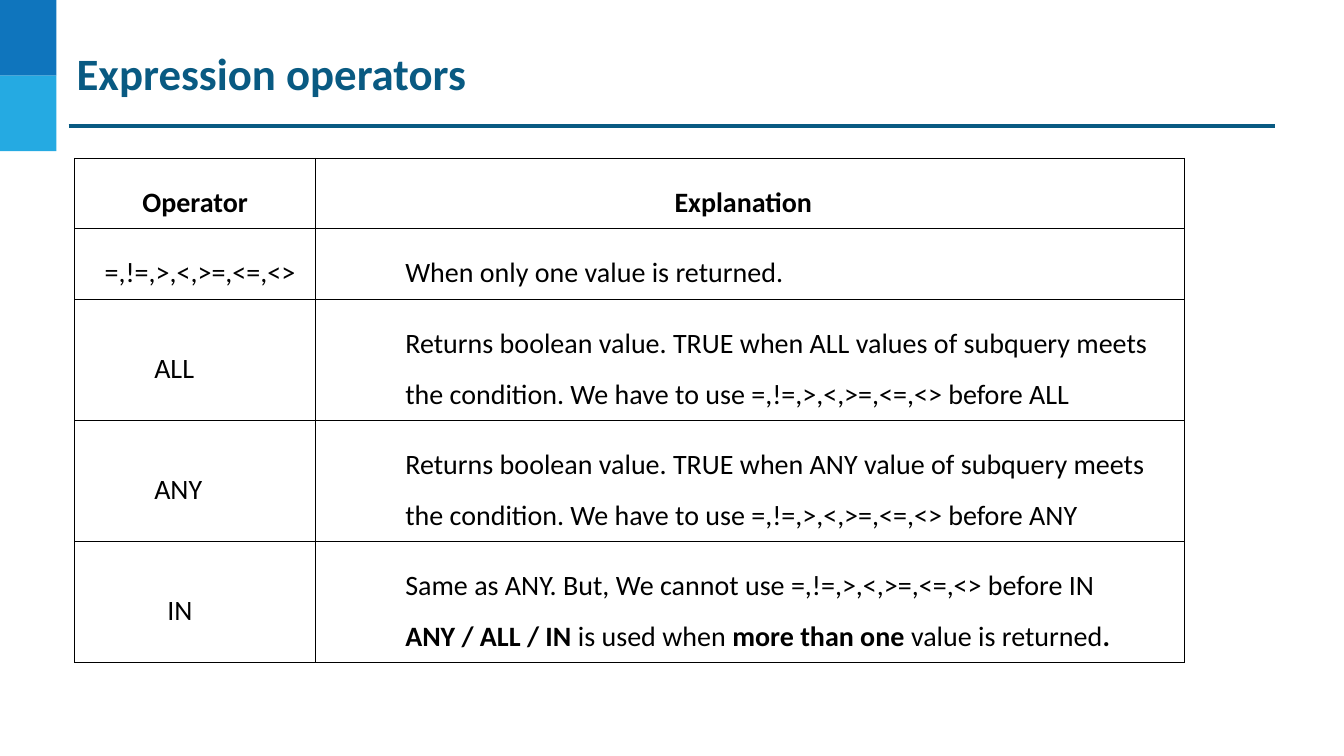
from lxml.etree import SubElement
from pptx import Presentation
from pptx.dml.color import RGBColor
from pptx.enum.shapes import MSO_CONNECTOR, MSO_SHAPE
from pptx.enum.text import MSO_ANCHOR, PP_ALIGN
from pptx.oxml.ns import qn
from pptx.util import Inches, Pt

COLORS = {
    "dark_block": "0F75BD",
    "light_block": "25AAE2",
    "title": "095A82",
    "text": "000000",
    "cell": "FFFFFF",
}
FONT = "Calibri"
COLUMN_WIDTHS = (2.39, 8.62)
ROW_HEIGHTS = (0.7, 0.7, 1.2, 1.2, 1.2)
EXPLANATION_INDENT = 0.89

# Each paragraph is a list of (text, bold) pieces.
ROWS = [
    ([[("Operator", True)]], [[("Explanation", True)]]),
    ([[("=,!=,>,<,>=,<=,<>", False)]], [[("When only one value is returned.", False)]]),
    ([[("ALL", False)]],
     [[("Returns boolean value. TRUE when ALL values of subquery meets the condition. "
        "We have to use =,!=,>,<,>=,<=,<> before ALL", False)]]),
    ([[("ANY", False)]],
     [[("Returns boolean value. TRUE when ANY value of subquery meets the condition. "
        "We have to use =,!=,>,<,>=,<=,<> before ANY", False)]]),
    ([[("IN", False)]],
     [[("Same as ANY. But, We cannot use =,!=,>,<,>=,<=,<> before IN", False)],
      [("ANY / ALL / IN ", True), ("is used when", False), (" more than one ", True),
       ("value is returned", False), (".", True)]]),
]
# Left margins of the cells whose text is pushed in from the left edge.
OPERATOR_INDENTS = (0.1, 0.1, 0.79, 0.79, 0.92)
HEADER_INDENT = 3.56


def color(name):
    return RGBColor.from_string(COLORS[name])


def style_run(run, size, color_name, bold):
    run.font.name = FONT
    run.font.size = Pt(size)
    run.font.bold = bold
    run.font.color.rgb = color(color_name)


def add_corner_blocks(slide, left, top, width, height):
    """Stack the two coloured blocks in the given box."""
    for index, name in enumerate(("dark_block", "light_block")):
        block = slide.shapes.add_shape(
            MSO_SHAPE.RECTANGLE, Inches(left), Inches(top + index * height / 2),
            Inches(width), Inches(height / 2))
        block.shadow.inherit = False
        block.fill.solid()
        block.fill.fore_color.rgb = color(name)
        block.line.fill.background()


def add_title(slide, left, top, width, height):
    """Place the heading with the rule beneath it."""
    box = slide.shapes.add_textbox(Inches(left), Inches(top), Inches(width), Inches(height))
    frame = box.text_frame
    frame.word_wrap = True
    frame.margin_left = frame.margin_right = Inches(0.02)
    frame.margin_top = frame.margin_bottom = Inches(0.02)
    frame.text = "Expression operators"
    style_run(frame.paragraphs[0].runs[0], 32, "title", True)

    rule_top = Inches(top + height + 0.24)
    rule = slide.shapes.add_connector(
        MSO_CONNECTOR.STRAIGHT, Inches(left - 0.06), rule_top,
        Inches(left + width - 0.06), rule_top)
    rule.line.color.rgb = color("title")
    rule.line.width = Pt(2.25)
    SubElement(rule._element.spPr, qn("a:effectLst"))


def add_cell_borders(cell):
    properties = cell._tc.get_or_add_tcPr()
    for side in ("lnL", "lnR", "lnT", "lnB"):
        line = SubElement(properties, qn(f"a:{side}"), w=str(Pt(0.75)))
        fill = SubElement(line, qn("a:solidFill"))
        SubElement(fill, qn("a:srgbClr"), val=COLORS["text"])


def fill_cell(cell, paragraphs, indent, right=0.1, alignment=PP_ALIGN.LEFT,
              anchor=MSO_ANCHOR.TOP):
    add_cell_borders(cell)
    cell.fill.solid()
    cell.fill.fore_color.rgb = color("cell")
    cell.margin_left, cell.margin_right = Inches(indent), Inches(right)
    cell.margin_top, cell.margin_bottom = Inches(0.1), Inches(0.09)
    cell.vertical_anchor = anchor
    frame = cell.text_frame
    for index, pieces in enumerate(paragraphs):
        paragraph = frame.add_paragraph() if index else frame.paragraphs[0]
        paragraph.alignment = alignment
        paragraph.line_spacing = 1.5
        for text, bold in pieces:
            run = paragraph.add_run()
            run.text = text
            style_run(run, 20, "text", bold)


def add_operator_table(slide, left, top):
    table = slide.shapes.add_table(
        len(ROWS), len(COLUMN_WIDTHS), Inches(left), Inches(top),
        Inches(sum(COLUMN_WIDTHS)), Inches(sum(ROW_HEIGHTS))).table
    for column, width in zip(table.columns, COLUMN_WIDTHS):
        column.width = Inches(width)
    for index, (operator, explanation) in enumerate(ROWS):
        table.rows[index].height = Inches(ROW_HEIGHTS[index])
        centered = index < 2
        fill_cell(table.cell(index, 0), operator, OPERATOR_INDENTS[index],
                  right=0 if index == 1 else 0.1,
                  alignment=PP_ALIGN.CENTER if centered else PP_ALIGN.LEFT,
                  anchor=MSO_ANCHOR.TOP if centered else MSO_ANCHOR.MIDDLE)
        fill_cell(table.cell(index, 1), explanation,
                  EXPLANATION_INDENT if index else HEADER_INDENT)


def main():
    presentation = Presentation()
    presentation.slide_width = Inches(13.33)
    presentation.slide_height = Inches(7.5)
    slide = presentation.slides.add_slide(presentation.slide_layouts[6])
    add_corner_blocks(slide, 0, 0, 0.56, 1.5)
    add_title(slide, 0.74, 0.43, 11.97, 0.58)
    add_operator_table(slide, 0.74, 1.57)
    presentation.save("out.pptx")


if __name__ == "__main__":
    main()
